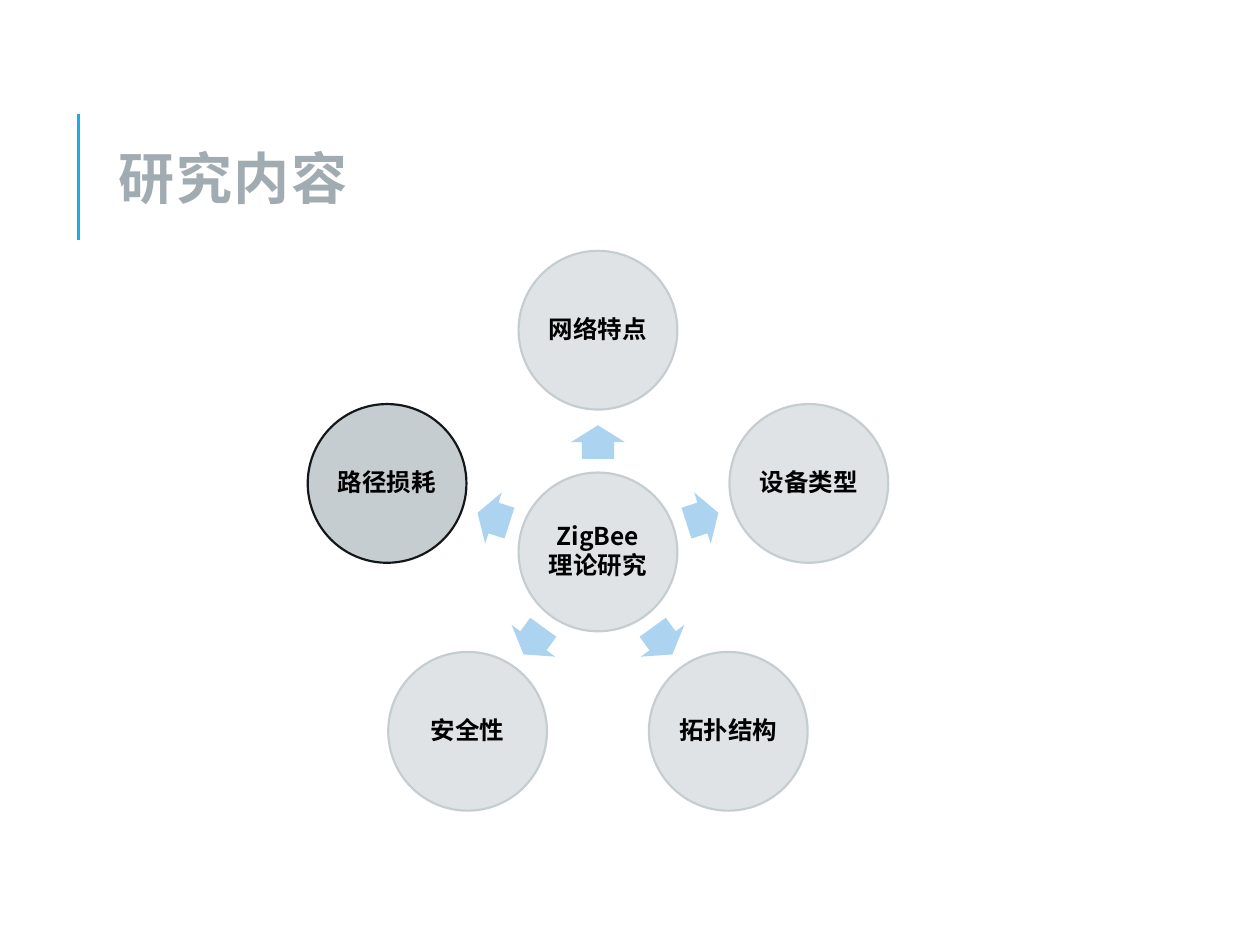
from math import cos, radians, sin

from lxml.etree import SubElement
from pptx import Presentation
from pptx.dml.color import RGBColor
from pptx.enum.shapes import MSO_CONNECTOR, MSO_SHAPE
from pptx.enum.text import MSO_ANCHOR, MSO_AUTO_SIZE, PP_ALIGN
from pptx.oxml.ns import qn
from pptx.util import Pt

COLOURS = {
    "accent": "1CADE4",
    "title": "A1ACB2",
    "text": "000000",
    "circle": "DFE3E5",
    "outline": "C6CDD1",
    "strong_outline": "141719",
    "arrow": "ACD3EF",
}
FONT = "Noto Sans CJK SC"
CENTRE_X, CENTRE_Y = 341.7, 315.4
TOPIC_RADIUS, ARROW_RADIUS = 126.7, 62.8
TOPICS = ["网络特点", "设备类型", "拓扑结构", "安全性", "路径损耗"]


class RadialSlide:
    """Holds the style and the current page, and draws each kind of element."""

    def __init__(self, deck):
        self.page = deck.slides.add_slide(deck.slide_layouts[5])

    def colour(self, name):
        return RGBColor.from_string(COLOURS[name])

    def span(self, para, text, size, colour):
        span = para.add_run()
        span.text = text
        span.font.name = FONT
        span.font.size = Pt(size)
        span.font.bold = True
        span.font.color.rgb = self.colour(colour)
        properties = span.font._element
        SubElement(properties, qn("a:ea")).set("typeface", FONT)
        return properties

    def title(self, text, left, top, width, height):
        box = self.page.shapes.title
        box.left, box.top, box.width, box.height = map(Pt, (left, top, width, height))
        frame = box.text_frame
        frame.auto_size = MSO_AUTO_SIZE.NONE
        frame.vertical_anchor = MSO_ANCHOR.MIDDLE
        para = frame.paragraphs[0]
        para.alignment = PP_ALIGN.LEFT
        para.line_spacing = 0.8
        self.span(para, text, 32, "title").set("spc", "100")

    def rule(self, x, top, bottom):
        line = self.page.shapes.add_connector(
            MSO_CONNECTOR.STRAIGHT, Pt(x), Pt(bottom), Pt(x), Pt(top))
        line.line.color.rgb = self.colour("accent")
        line.line.width = Pt(1.5)
        SubElement(line._element.spPr, qn("a:effectLst"))

    def shape(self, kind, x, y, width, height, fill):
        shape = self.page.shapes.add_shape(
            kind, Pt(x - width / 2), Pt(y - height / 2), Pt(width), Pt(height))
        shape.shadow.inherit = False
        shape.fill.solid()
        shape.fill.fore_color.rgb = self.colour(fill)
        return shape

    def circle(self, lines, x, y, fill="circle", outline="outline"):
        circle = self.shape(MSO_SHAPE.OVAL, x, y, 90.7, 90.7, fill)
        circle.line.color.rgb = self.colour(outline)
        circle.line.width = Pt(1.25)
        frame = circle.text_frame
        frame.word_wrap = True
        frame.vertical_anchor = MSO_ANCHOR.MIDDLE
        frame.margin_left = frame.margin_right = Pt(1.4)
        frame.margin_top = frame.margin_bottom = Pt(1.4)
        for index, text in enumerate(lines):
            para = frame.add_paragraph() if index else frame.paragraphs[0]
            para.alignment = PP_ALIGN.CENTER
            para.line_spacing = 0.9
            para.space_after = Pt(1.5)
            self.span(para, text, 14, "text")

    def arrow(self, x, y, angle):
        arrow = self.shape(MSO_SHAPE.RIGHT_ARROW, x, y, 19.2, 30.8, "arrow")
        arrow.line.fill.background()
        arrow.adjustments[0] = 0.6
        arrow.adjustments[1] = 0.5
        arrow.rotation = angle % 360


def around_centre(radius, angle):
    return (CENTRE_X + radius * cos(radians(angle)),
            CENTRE_Y + radius * sin(radians(angle)))


def main():
    deck = Presentation()
    deck.slide_width, deck.slide_height = Pt(720), Pt(540)
    slide = RadialSlide(deck)
    slide.rule(44.9, 65, 137)
    slide.title("研究内容", 60.5, 46, 574, 118)
    slide.circle(["ZigBee", "理论研究"], CENTRE_X, CENTRE_Y)
    for index, topic in enumerate(TOPICS):
        angle = -90 + index * 360 / len(TOPICS)
        slide.arrow(*around_centre(ARROW_RADIUS, angle), angle)
        style = ("outline", "strong_outline") if topic == TOPICS[-1] else ()
        slide.circle([topic], *around_centre(TOPIC_RADIUS, angle), *style)
    deck.save("out.pptx")


if __name__ == "__main__":
    main()
